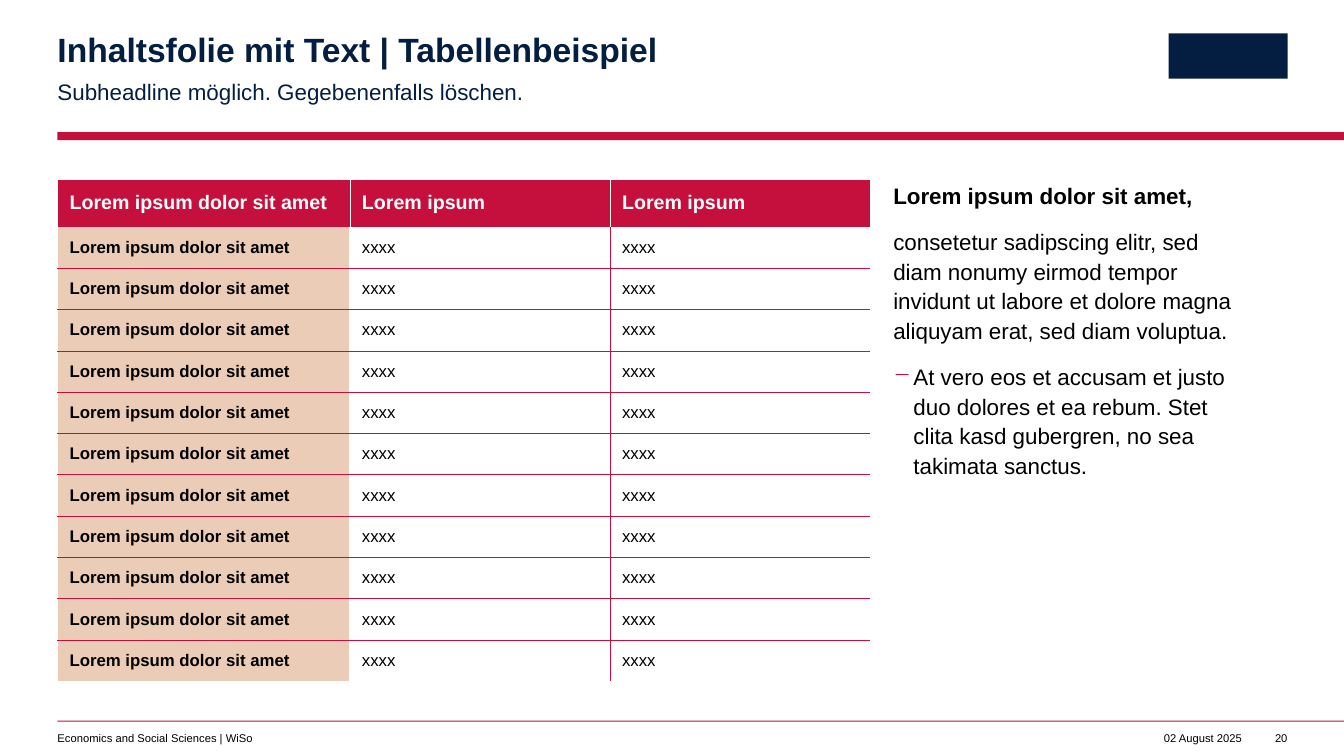
from lxml import etree
from pptx import Presentation
from pptx.dml.color import RGBColor
from pptx.enum.shapes import MSO_SHAPE
from pptx.enum.text import MSO_ANCHOR, PP_ALIGN
from pptx.oxml.ns import qn
from pptx.util import Inches, Pt

RED = RGBColor(0xC5, 0x0F, 0x3C)
NAVY = RGBColor(0x04, 0x1E, 0x42)
SAND = RGBColor(0xEB, 0xCC, 0xB7)
WHITE = RGBColor(0xFF, 0xFF, 0xFF)
BLACK = RGBColor(0x00, 0x00, 0x00)
RECT = MSO_SHAPE.RECTANGLE
LEFT, RIGHT = PP_ALIGN.LEFT, PP_ALIGN.RIGHT
MIDDLE = MSO_ANCHOR.MIDDLE
FONT = "Arial"

LOREM = "Lorem ipsum dolor sit amet"
HEAD = [LOREM, "Lorem ipsum", "Lorem ipsum"]
ROWS = [HEAD] + [[LOREM, "xxxx", "xxxx"]] * 11
WIDTHS = [2.9, 2.58, 2.58]
HEAD_H, ROW_H = 0.47, 0.41


def add_bar(slide, left, top, width, height, color):
    bar = slide.shapes.add_shape(
        RECT, Inches(left), Inches(top), Inches(width), Inches(height))
    bar.shadow.inherit = False
    bar.fill.solid()
    bar.fill.fore_color.rgb = color
    bar.line.fill.background()


def add_run(para, text, size, color, bold=False):
    run = para.add_run()
    run.text = text
    font = run.font
    font.name, font.size, font.bold = FONT, Pt(size), bold
    font.color.rgb = color


def add_frame(slide, left, top, width, height, inset=0, wrap=True):
    box = slide.shapes.add_textbox(
        Inches(left), Inches(top), Inches(width), Inches(height))
    frame = box.text_frame
    frame.word_wrap = wrap
    frame.margin_left = frame.margin_top = frame.margin_bottom = 0
    frame.margin_right = Inches(inset)
    return frame


def add_line(slide, place, text, size, color, bold=False,
             align=LEFT, space=1.0, wrap=True):
    para = add_frame(slide, *place, wrap=wrap).paragraphs[0]
    para.alignment = align
    para.line_spacing = space
    add_run(para, text, size, color, bold)


def set_dash(para):
    """Give the paragraph a red dash with a hanging indent."""
    props = para._p.get_or_add_pPr()
    props.set("marL", str(Inches(0.2)))
    props.set("indent", str(-Inches(0.2)))
    tint = etree.SubElement(props, qn("a:buClr"))
    etree.SubElement(tint, qn("a:srgbClr"), val=str(RED))
    etree.SubElement(props, qn("a:buChar"), char="−")


def add_body(slide):
    frame = add_frame(slide, 8.86, 1.78, 3.91, 5, inset=0.39)
    parts = [
        ("Lorem ipsum dolor sit amet,", True, False),
        ("consetetur sadipscing elitr, sed diam nonumy eirmod tempor "
         "invidunt ut labore et dolore magna aliquyam erat, sed diam "
         "voluptua.", False, False),
        ("At vero eos et accusam et justo duo dolores et ea rebum. Stet "
         "clita kasd gubergren, no sea takimata sanctus.", False, True),
    ]
    for i, (text, bold, dash) in enumerate(parts):
        para = frame.add_paragraph() if i else frame.paragraphs[0]
        para.line_spacing = 1.1
        para.space_after = Pt(12)
        if dash:
            para.level = 1
            set_dash(para)
        add_run(para, text, 16, BLACK, bold)


def set_edges(cell, edges):
    """Draw the left, right, top and bottom edges; None hides one."""
    props = cell._tc.get_or_add_tcPr()
    for i, (side, edge) in enumerate(zip("LRTB", edges)):
        line = etree.Element(qn("a:ln" + side))
        if edge:
            color, width = edge
            line.set("w", str(Pt(width)))
            fill = etree.SubElement(line, qn("a:solidFill"))
            etree.SubElement(fill, qn("a:srgbClr"), val=str(color))
        else:
            line.set("w", "0")
            etree.SubElement(line, qn("a:noFill"))
        props.insert(i, line)


def get_edges(row, col):
    thin, wide = (RED, 0.25), (WHITE, 1)
    if row == 0:
        mid = (WHITE, 0.5)
        sides = [wide, mid, mid, None]
        top, base = wide, None
    else:
        sides = [wide, wide, thin, None]
        top = thin if row > 1 else None
        base = thin if row < len(ROWS) - 1 else None
    return sides[col], sides[col + 1], top, base


def fill_cell(cell, text, row, col):
    cell.vertical_anchor = MIDDLE
    cell.margin_left = cell.margin_right = Inches(0.12)
    cell.margin_top = cell.margin_bottom = Inches(0.04)
    head = row == 0
    if head or col == 0:
        cell.fill.solid()
        cell.fill.fore_color.rgb = RED if head else SAND
    else:
        cell.fill.background()
    add_run(cell.text_frame.paragraphs[0], text, 14 if head else 12,
            WHITE if head else BLACK, head or col == 0)
    set_edges(cell, get_edges(row, col))


def add_grid(slide):
    high = HEAD_H + ROW_H * (len(ROWS) - 1)
    table = slide.shapes.add_table(
        len(ROWS), len(WIDTHS), Inches(0.57), Inches(1.78),
        Inches(sum(WIDTHS)), Inches(high)).table
    table.horz_banding = False
    for col, width in enumerate(WIDTHS):
        table.columns[col].width = Inches(width)
    for row, texts in enumerate(ROWS):
        table.rows[row].height = Inches(ROW_H if row else HEAD_H)
        for col, text in enumerate(texts):
            fill_cell(table.cell(row, col), text, row, col)


def main():
    deck = Presentation()
    deck.slide_width, deck.slide_height = Inches(13.33), Inches(7.5)
    slide = deck.slides.add_slide(deck.slide_layouts[6])

    # Rules and plain block at top right
    add_bar(slide, 0.57, 1.31, 12.77, 0.08, RED)
    add_bar(slide, 0.57, 7.15, 12.77, 0.01, RED)
    add_bar(slide, 11.59, 0.33, 1.18, 0.45, NAVY)

    # Footer
    add_line(slide, (11.39, 7.26, 0.93, 0.13), "02 August 2025", 8, BLACK,
             align=RIGHT, wrap=False)
    add_line(slide, (0.57, 7.26, 5.98, 0.13),
             "Economics and Social Sciences | WiSo", 8, BLACK)
    add_line(slide, (12.56, 7.26, 0.21, 0.13), "20", 8, BLACK,
             align=RIGHT, wrap=False)

    # Headings
    add_line(slide, (0.57, 0.33, 7.49, 0.36),
             "Inhaltsfolie mit Text | Tabellenbeispiel", 24, NAVY,
             bold=True, space=0.9)
    add_line(slide, (0.57, 0.75, 7.49, 0.27),
             "Subheadline möglich. Gegebenenfalls löschen.", 16, NAVY,
             space=1.1)

    # Table and side text
    add_grid(slide)
    add_body(slide)
    deck.save("out.pptx")


if __name__ == "__main__":
    main()
